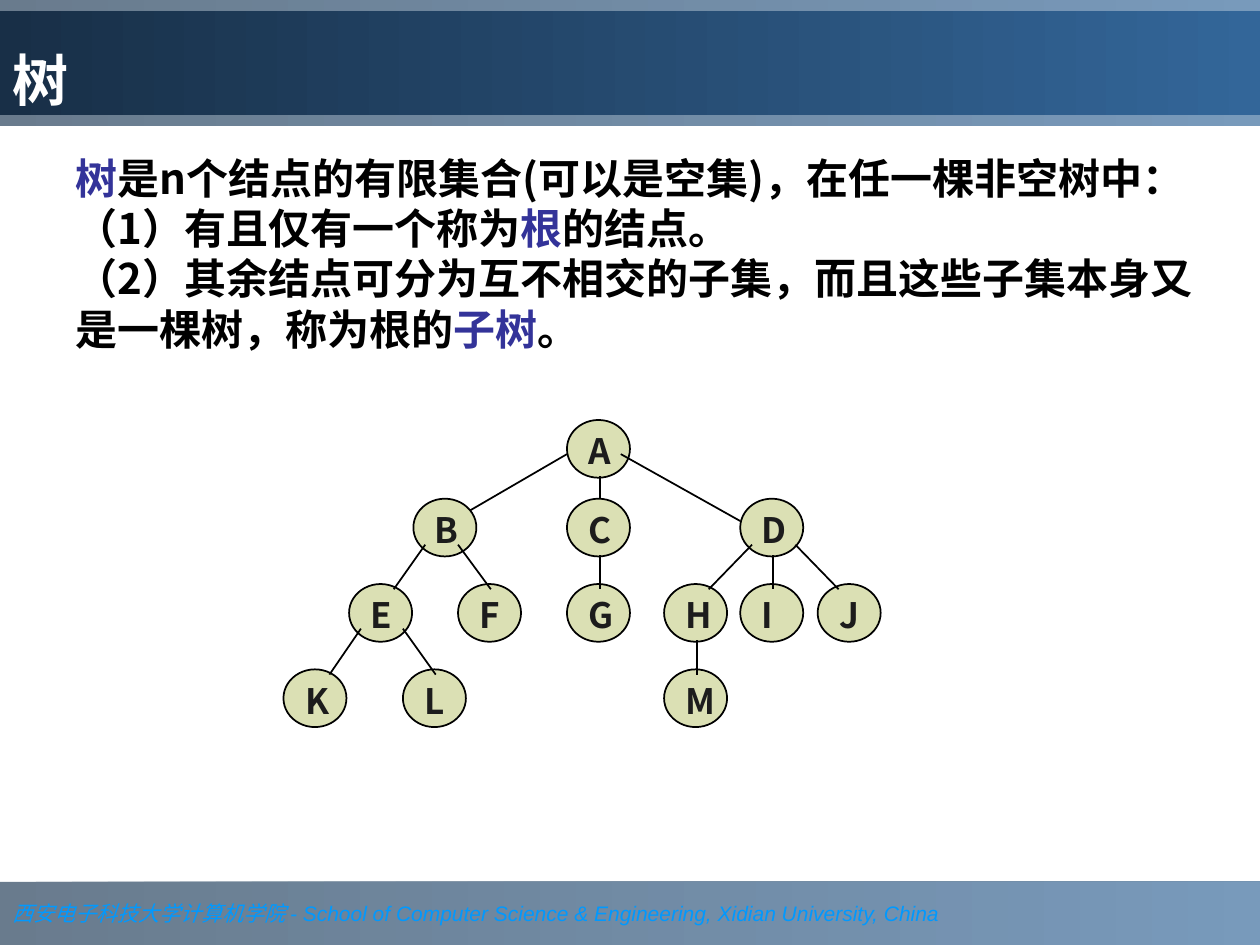
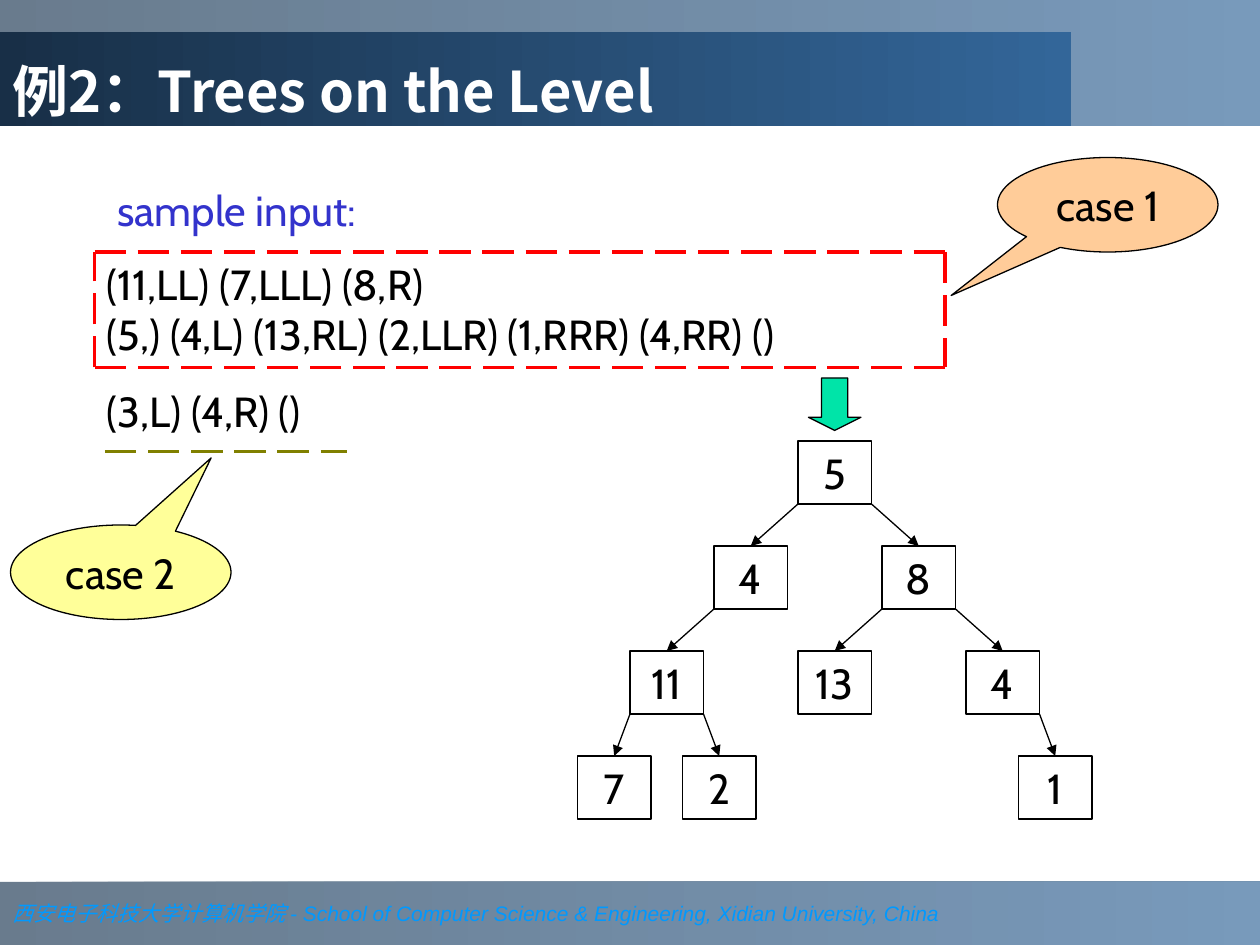
from lxml.etree import SubElement
from pptx import Presentation
from pptx.dml.color import RGBColor
from pptx.enum.dml import MSO_LINE
from pptx.enum.shapes import MSO_CONNECTOR, MSO_SHAPE
from pptx.enum.text import MSO_ANCHOR, MSO_AUTO_SIZE, PP_ALIGN
from pptx.oxml.ns import qn
from pptx.util import Pt

PX = 9525  # EMU in one px, 96 px to the inch
SANS, CJK = "Cabin", "Noto Sans CJK SC"
BLACK, WHITE, BLUE = "000000", "FFFFFF", "333399"
NAVY, BAND, STEEL = "182F47", "1C3853", "336699"
color_of = RGBColor.from_string


def place(page, kind, left, top, width, height, fill=None, line=None, weight=0.75):
    """Add a preset shape, or a text box when kind is None."""
    area = [length * PX for length in (left, top, width, height)]
    if kind is None:
        return page.shapes.add_textbox(*area)
    shape = page.shapes.add_shape(kind, *area)
    shape.shadow.inherit = False
    if fill:
        shape.fill.solid()
        shape.fill.fore_color.rgb = color_of(fill)
    if line:
        shape.line.color.rgb = color_of(line)
        shape.line.width = Pt(weight)
    else:
        shape.line.fill.background()
    return shape


def write(shape, *paragraphs, size=24, font=SANS, color=BLACK, bold=False, italic=False,
          align=PP_ALIGN.LEFT, anchor=MSO_ANCHOR.TOP, spacing=None, gap=0):
    """Fill a shape; a paragraph is a string or a list of (text, changed format)."""
    frame = shape.text_frame
    frame.word_wrap = True
    frame.auto_size = MSO_AUTO_SIZE.NONE
    frame.vertical_anchor = anchor
    for number, content in enumerate(paragraphs):
        para = frame.add_paragraph() if number else frame.paragraphs[0]
        para.alignment = align
        if spacing:
            para.line_spacing = Pt(spacing)
        if number:
            para.space_before = Pt(gap)
        spans = [(content, {})] if isinstance(content, str) else content
        for text, change in spans:
            for row, part in enumerate(text.split("\n")):
                if row:
                    para.add_line_break()
                span = para.add_run()
                span.text = part
                span.font.size = Pt(size)
                span.font.bold = bold
                span.font.italic = italic
                span.font.name = change.get("font", font)
                span.font.color.rgb = color_of(change.get("color", color))


deck = Presentation()
deck.slide_width, deck.slide_height = 960 * PX, 720 * PX
layout = deck.slide_layouts[5]
tree_page = deck.slides.add_slide(layout)
level_page = deck.slides.add_slide(layout)

# Shared bands and footer, kept on the layout
header = place(tree_page, MSO_SHAPE.RECTANGLE, 0, 0, 960, 96)
footer = place(tree_page, MSO_SHAPE.RECTANGLE, 0, 672, 960, 48)
write(footer, [("西安电子科技大学计算机学院 ", {"font": "Times New Roman"}),
               ("- School of Computer Science & Engineering, Xidian University, China", {})],
      size=12, font="Arial", color="0099FF", italic=True, anchor=MSO_ANCHOR.MIDDLE)
gradients = [(header, BAND, 66), (footer, BAND, 66)]
for band in (header, footer):
    layout.shapes.element.insert(2, band.element)

# Titles
for page, text, font, top, width, height in [
        (tree_page, "树", CJK, 8, 960, 80),
        (level_page, "例2：Trees on the Level", CJK, 24, 816, 72)]:
    title = page.shapes.title
    title.left, title.top, title.width, title.height = 0, top * PX, width * PX, height * PX
    write(title, text, size=32, font=font, color=WHITE, bold=True, anchor=MSO_ANCHOR.BOTTOM)
    title.text_frame.margin_bottom = 2 * PX
    gradients.append((title, NAVY, 100))

# Left-to-right gradients of bands and titles
for shape, start, opacity in gradients:
    shape.fill.gradient()
    shape.fill.gradient_angle = 0
    for stop, color in zip(shape.fill.gradient_stops, (start, STEEL)):
        stop.color.rgb = color_of(color)
    for color_node in shape.element.spPr.iter(qn("a:srgbClr")):
        SubElement(color_node, qn("a:alpha"), val=str(opacity * 1000))

# Slide 1: definition of a tree
definition = place(tree_page, None, 48, 112, 888, 202)
write(definition, [
    ("树", {"color": BLUE}),
    ("是n个结点的有限集合(可以是空集)，在任一棵非空树中：\n（1）有且仅有一个称为", {}),
    ("根", {"color": BLUE}),
    ("的结点。\n（2）其余结点可分为互不相交的子集，而且这些子集本身又是一棵树，称为根的", {}),
    ("子树", {"color": BLUE}),
    ("。", {})], font=CJK, bold=True, spacing=28.6)

# Slide 1: nodes, level by level
levels = [
    (320, {"A": 432}),
    (380, {"B": 315, "C": 432, "D": 564}),
    (445, {"E": 266, "F": 349, "G": 432, "H": 506, "I": 564, "J": 623}),
    (510, {"K": 216, "L": 307, "M": 506}),
]
for top, nodes in levels:
    for letter, left in nodes.items():
        place(tree_page, MSO_SHAPE.OVAL, left, top, 48, 44, "DBE0B4", BLACK, 1)
        label = place(tree_page, None, left + 7, top, 48, 42)
        write(label, letter, size=20, font=CJK, color="1C1C1C", bold=True, spacing=26)

# Lines of both slides: page, ends, colour, weight, dashed, box pointed at
branches = [
    (432, 346, 358, 389), (457, 363, 457, 380), (473, 346, 564, 397),
    (324, 415, 300, 449), (349, 415, 374, 449), (457, 423, 457, 449),
    (573, 415, 540, 449), (589, 423, 589, 449), (606, 415, 639, 449),
    (275, 479, 251, 514), (307, 479, 332, 514), (531, 488, 531, 514),
]
lines = [(tree_page, ends, BLACK, 1, False, None) for ends in branches]

# Slide 2: sample input with a dashed frame and an underline
sample = place(level_page, None, 72, 192, 688, 145)
write(sample, "(11,LL) (7,LLL) (8,R)\n(5,) (4,L) (13,RL) (2,LLR) (1,RRR) (4,RR) ()",
      "(3,L) (4,R) ()", gap=15)
heading = place(level_page, None, 80, 136, 224, 48)
write(heading, "sample input:", color="3333CC")

corners = [(72, 192), (720, 192), (720, 280), (72, 280)]
for start, end in zip(corners, corners[1:] + corners[:1]):
    lines.append((level_page, start + end, "FF0000", 2.25, True, None))
lines.append((level_page, (80, 344, 264, 344), "808000", 2.25, True, None))

# Slide 2: callouts and block arrow
for text, left, top, fill, tip in [
        ("case 1", 760, 120, "FFCC99", (-0.71, 0.96)),
        ("case 2", 8, 400, "FFFF99", (0.41, -1.21))]:
    callout = place(level_page, MSO_SHAPE.OVAL_CALLOUT, left, top, 168, 72, fill, BLACK)
    callout.adjustments[0], callout.adjustments[1] = tip
    write(callout, text, align=PP_ALIGN.CENTER, anchor=MSO_ANCHOR.MIDDLE)
arrow = place(level_page, MSO_SHAPE.DOWN_ARROW, 616, 288, 40, 40, "00E4A8", BLACK)
arrow.adjustments[0], arrow.adjustments[1] = 0.5, 0.25

# Slide 2: binary tree; value, left, row and index of the parent
binary_tree = [
    ("5", 608, 0, None), ("4", 544, 1, 0), ("8", 672, 1, 0),
    ("11", 480, 2, 1), ("13", 608, 2, 2), ("4", 736, 2, 2),
    ("7", 440, 3, 3), ("2", 520, 3, 3), ("1", 776, 3, 5),
]
for value, left, row, parent in binary_tree:
    top = 336 + 80 * row
    box = place(level_page, MSO_SHAPE.RECTANGLE, left, top, 56, 48, WHITE, BLACK)
    write(box, value, align=PP_ALIGN.CENTER, anchor=MSO_ANCHOR.MIDDLE)
    if parent is not None:
        parent_left = binary_tree[parent][1]
        corner = parent_left if left < parent_left else parent_left + 56
        lines.append((level_page, (corner, top - 32, left + 28, top), BLACK, 0.75, False, box))

# Draw the lines
for page, ends, color, weight, dashed, target in lines:
    line = page.shapes.add_connector(MSO_CONNECTOR.STRAIGHT, *[end * PX for end in ends])
    line.line.color.rgb = color_of(color)
    line.line.width = Pt(weight)
    if dashed:
        line.line.dash_style = MSO_LINE.LONG_DASH
    properties = line.element.spPr
    if target is not None:
        line.end_connect(target, 0)
        SubElement(properties.find(qn("a:ln")), qn("a:tailEnd"), type="triangle")
    SubElement(properties, qn("a:effectLst"))

deck.save("out.pptx")
